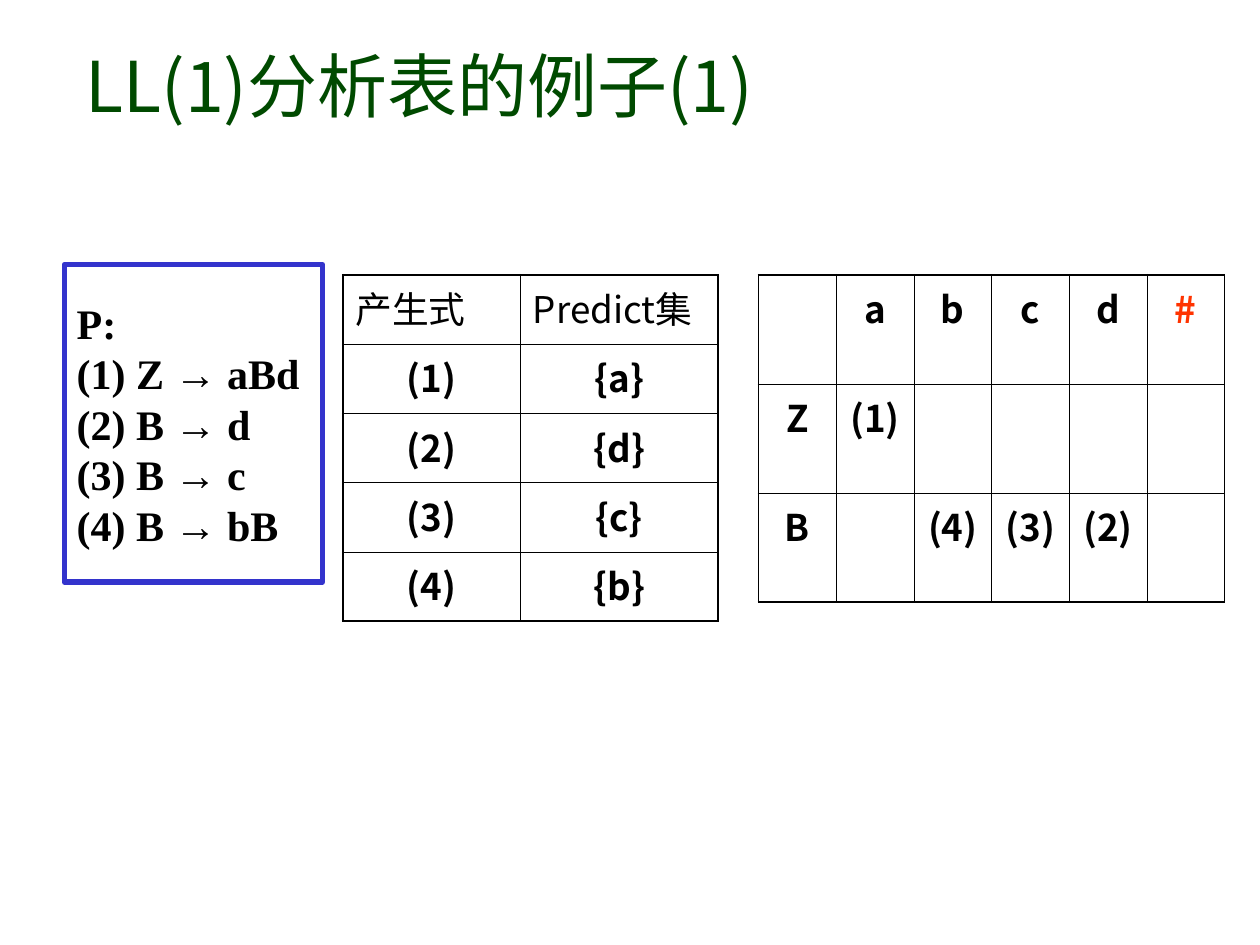
from dataclasses import dataclass

import pptx
import pptx.dml.color
import pptx.enum.shapes
import pptx.enum.text
import pptx.oxml
import pptx.oxml.ns
import pptx.util

WIDTH, HEIGHT = pptx.util.Inches(10), pptx.util.Inches(7.5)
SANS, SERIF, ARROW = "Noto Sans CJK KR", "Times New Roman", "Arial"
BLACK, GREEN, BLUE, RED = "000000", "004A00", "3333CC", "FF3300"
INNER_LINE, OUTER_LINE = 0.45, 1.08
ALIGN = pptx.enum.text.PP_ALIGN
MIDDLE = pptx.enum.text.MSO_ANCHOR.MIDDLE


@dataclass
class Area:
    """A rectangle in percent of the slide's width and height."""
    left: float
    top: float
    width: float
    height: float

    def lengths(self) -> tuple[int, int, int, int]:
        return (int(WIDTH * self.left / 100), int(HEIGHT * self.top / 100),
                int(WIDTH * self.width / 100), int(HEIGHT * self.height / 100))


@dataclass
class Grid:
    """A ruled table: its area, relative column widths and cell texts."""
    area: Area
    columns: list[float]
    rows: list[list[str]]
    plain_header: bool = False


def colour(value: str) -> pptx.dml.color.RGBColor:
    return pptx.dml.color.RGBColor.from_string(value)


def add_text(para, text: str, *, size: float, font: str = SANS,
             fill: str = BLACK, bold: bool = False, align=ALIGN.LEFT) -> None:
    para.alignment = align
    span = para.add_run()
    span.text = text
    span.font.size = pptx.util.Pt(size)
    span.font.name = font
    span.font.bold = bold
    span.font.color.rgb = colour(fill)
    east_asian = span.font._element.makeelement(
        pptx.oxml.ns.qn("a:ea"), {"typeface": font})
    span.font._element.find(pptx.oxml.ns.qn("a:latin")).addnext(east_asian)


def rule_cell(cell, widths: dict[str, float]) -> None:
    properties = cell._tc.get_or_add_tcPr()
    for side, width in widths.items():
        properties.append(pptx.oxml.parse_xml(
            f'<a:ln{side} {pptx.oxml.ns.nsdecls("a")} w="{pptx.util.Pt(width)}">'
            f'<a:solidFill><a:srgbClr val="{BLACK}"/></a:solidFill></a:ln{side}>'))


def draw_grid(page, grid: Grid) -> None:
    last_row, last_column = len(grid.rows) - 1, len(grid.columns) - 1
    left, top, width, height = grid.area.lengths()
    table = page.shapes.add_table(last_row + 1, last_column + 1,
                                  left, top, width, height).table
    table.first_row = table.horz_banding = False
    for column, share in zip(table.columns, grid.columns):
        column.width = int(width * share / sum(grid.columns))
    for r, texts in enumerate(grid.rows):
        for c, text in enumerate(texts):
            cell = table.cell(r, c)
            edges = {"L": c == 0, "R": c == last_column,
                     "T": r == 0, "B": r == last_row}
            rule_cell(cell, {side: OUTER_LINE if outer else INNER_LINE
                             for side, outer in edges.items()})
            cell.fill.background()
            if text:
                plain = grid.plain_header and r == 0
                add_text(cell.text_frame.paragraphs[0], text, size=21,
                         bold=not plain, fill=RED if text == "#" else BLACK,
                         align=ALIGN.LEFT if plain else ALIGN.CENTER)


def draw_productions(page, area: Area, productions: list[tuple[str, str]]) -> None:
    box = page.shapes.add_shape(pptx.enum.shapes.MSO_SHAPE.RECTANGLE,
                                *area.lengths())
    box.shadow.inherit = False
    box.fill.background()
    box.line.color.rgb = colour(BLUE)
    box.line.width = pptx.util.Pt(3)
    frame = box.text_frame
    frame.word_wrap = False
    frame.vertical_anchor = MIDDLE
    add_text(frame.paragraphs[0], "P:", size=24, font=SERIF, bold=True)
    for number, (symbol, body) in enumerate(productions, 1):
        para = frame.add_paragraph()
        for text, font in ((f"({number}) {symbol} ", SERIF), ("→", ARROW),
                           (f" {body}", SERIF)):
            add_text(para, text, size=24, font=font, bold=True)


def main() -> None:
    deck = pptx.Presentation()
    deck.slide_width, deck.slide_height = WIDTH, HEIGHT
    page = deck.slides.add_slide(deck.slide_layouts[5])

    # Title
    title = page.shapes.title
    title.left, title.top, title.width, title.height = Area(
        5.8, 2.27, 84.9, 13.33).lengths()
    title.text_frame.vertical_anchor = MIDDLE
    add_text(title.text_frame.paragraphs[0], "LL(1)分析表的例子(1)",
             size=40, fill=GREEN)

    # Predict sets
    predict_sets = [[f"({number})", f"{{{symbol}}}"]
                    for number, symbol in enumerate("adcb", 1)]
    draw_grid(page, Grid(Area(27.2, 29.07, 29.8, 36.67), [1.41, 1.57],
                         [["产生式", "Predict集"], *predict_sets],
                         plain_header=True))

    # Grammar
    draw_productions(page, Area(5.1, 28, 20.5, 33.6),
                     [("Z", "aBd"), ("B", "d"), ("B", "c"), ("B", "bB")])

    # LL(1) parse table
    draw_grid(page, Grid(Area(60.2, 29.07, 37, 34.67), [1] * 6,
                         [["", "a", "b", "c", "d", "#"],
                          ["Z", "(1)", "", "", "", ""],
                          ["B", "", "(4)", "(3)", "(2)", ""]]))

    deck.save("out.pptx")


if __name__ == "__main__":
    main()
